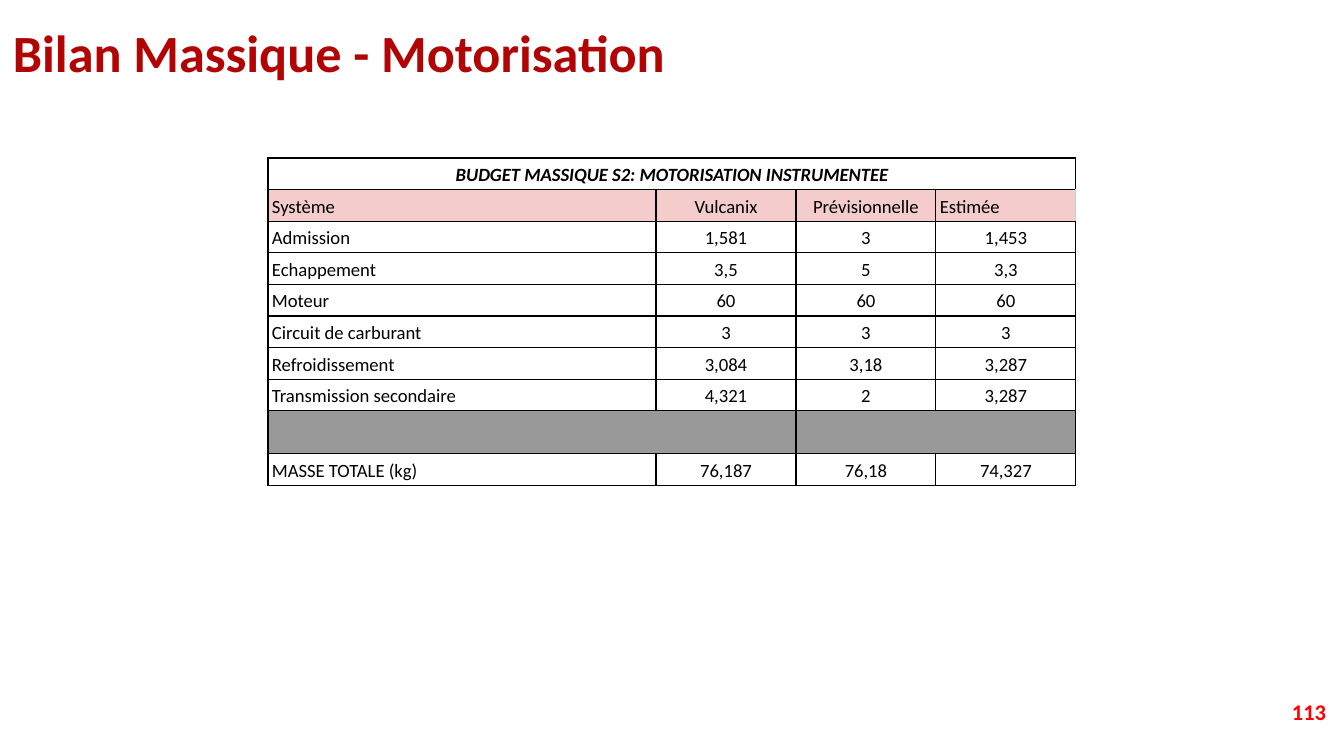
from dataclasses import dataclass

from lxml import etree
from pptx import Presentation
from pptx.dml.color import RGBColor
from pptx.enum import text
from pptx.oxml import ns
from pptx.util import Pt

EMU_PER_PX = 9144000 / 1344
LEFT, CENTER, RIGHT = text.PP_ALIGN.LEFT, text.PP_ALIGN.CENTER, text.PP_ALIGN.RIGHT


@dataclass(frozen=True)
class Theme:
    font: str = "Calibri"
    title: str = "B10404"
    number: str = "FF0000"
    ink: str = "000000"
    header: str = "F4CCCC"
    separator: str = "999999"
    soft_border: str = "CCCCCC"
    title_size: int = 28
    number_size: int = 12
    table_size: int = 10
    border_width: float = 0.75


THEME = Theme()
TABLE_TITLE = "BUDGET MASSIQUE S2: MOTORISATION INSTRUMENTEE"
HEADER = ["Système", "Vulcanix", "Prévisionnelle", "Estimée"]
MASSES = [
    ["Admission", "1,581", "3", "1,453"],
    ["Echappement", "3,5", "5", "3,3"],
    ["Moteur", "60", "60", "60"],
    ["Circuit de carburant", "3", "3", "3"],
    ["Refroidissement", "3,084", "3,18", "3,287"],
    ["Transmission secondaire", "4,321", "2", "3,287"],
]
TOTAL = ["MASSE TOTALE (kg)", "76,187", "76,18", "74,327"]
COLUMN_WIDTHS = [388, 140, 140, 140]


def px(n):
    return round(n * EMU_PER_PX)


def write(p, content, size, color, bold=False, italic=False, align=LEFT):
    p.alignment = align
    r = p.add_run()
    r.text = content
    r.font.name = THEME.font
    r.font.size = Pt(size)
    r.font.bold = bold
    r.font.italic = italic
    r.font.color.rgb = RGBColor.from_string(color)


def add_label(slide, box, content, size, color, align, inset_y):
    tf = slide.shapes.add_textbox(*map(px, box)).text_frame
    tf.word_wrap = True
    tf.vertical_anchor = text.MSO_ANCHOR.MIDDLE
    tf.margin_left = tf.margin_right = px(13)
    tf.margin_top = tf.margin_bottom = px(inset_y)
    write(tf.paragraphs[0], content, size, color, bold=True, align=align)


def set_borders(cell, right=THEME.ink):
    tc_pr = cell._tc.get_or_add_tcPr()
    for side in "LRTB":
        ln = etree.SubElement(tc_pr, ns.qn(f"a:ln{side}"), w=str(Pt(THEME.border_width)))
        fill = etree.SubElement(ln, ns.qn("a:solidFill"))
        color = right if side == "R" else THEME.ink
        etree.SubElement(fill, ns.qn("a:srgbClr"), val=color)


def style_cell(cell, fill=None, right=THEME.ink):
    set_borders(cell, right)
    cell.vertical_anchor = text.MSO_ANCHOR.BOTTOM
    cell.margin_left = cell.margin_right = px(4)
    cell.margin_top, cell.margin_bottom = px(2), px(3)
    if fill:
        cell.fill.solid()
        cell.fill.fore_color.rgb = RGBColor.from_string(fill)
    else:
        cell.fill.background()
    p = cell.text_frame.paragraphs[0]
    p.line_spacing = 1.15
    p.font.size = Pt(THEME.table_size)
    return p


def fill_row(table, row, values, fill=None, aligns=(LEFT, CENTER, CENTER, CENTER),
             strong=False, last_border=THEME.ink):
    for col, value in enumerate(values):
        right = last_border if col == len(values) - 1 else THEME.ink
        p = style_cell(table.cell(row, col), fill, right)
        if value:
            write(p, value, THEME.table_size, THEME.ink, strong, strong, aligns[col])


def add_mass_table(slide):
    row_count = len(MASSES) + 4
    separator = row_count - 2
    table = slide.shapes.add_table(
        row_count, 4, px(268), px(158), px(sum(COLUMN_WIDTHS)), px(328)).table
    table.first_row = table.horz_banding = False
    for column, width in zip(table.columns, COLUMN_WIDTHS):
        column.width = px(width)
    for row in table.rows:
        row.height = px(253) // 8
    table.rows[separator].height = px(43)

    fill_row(table, 0, [TABLE_TITLE, "", "", ""], aligns=[CENTER] * 4, strong=True)
    fill_row(table, 1, HEADER, THEME.header, (LEFT, CENTER, CENTER, LEFT),
             last_border=THEME.soft_border)
    for i, values in enumerate(MASSES, start=2):
        fill_row(table, i, values)
    fill_row(table, separator, [""] * 4, THEME.separator)
    fill_row(table, row_count - 1, TOTAL)

    table.cell(0, 0).merge(table.cell(0, 3))
    for col in (0, 2):
        table.cell(separator, col).merge(table.cell(separator, col + 1))


def main():
    prs = Presentation()
    prs.slide_width, prs.slide_height = px(1344), px(756)
    slide = prs.slides.add_slide(prs.slide_layouts[6])
    add_label(slide, (1202, 688, 137, 48), "113",
              THEME.number_size, THEME.number, RIGHT, 7)
    add_label(slide, (0, 3, 1344, 97), "Bilan Massique - Motorisation",
              THEME.title_size, THEME.title, LEFT, 13)
    add_mass_table(slide)
    prs.save("out.pptx")


if __name__ == "__main__":
    main()
